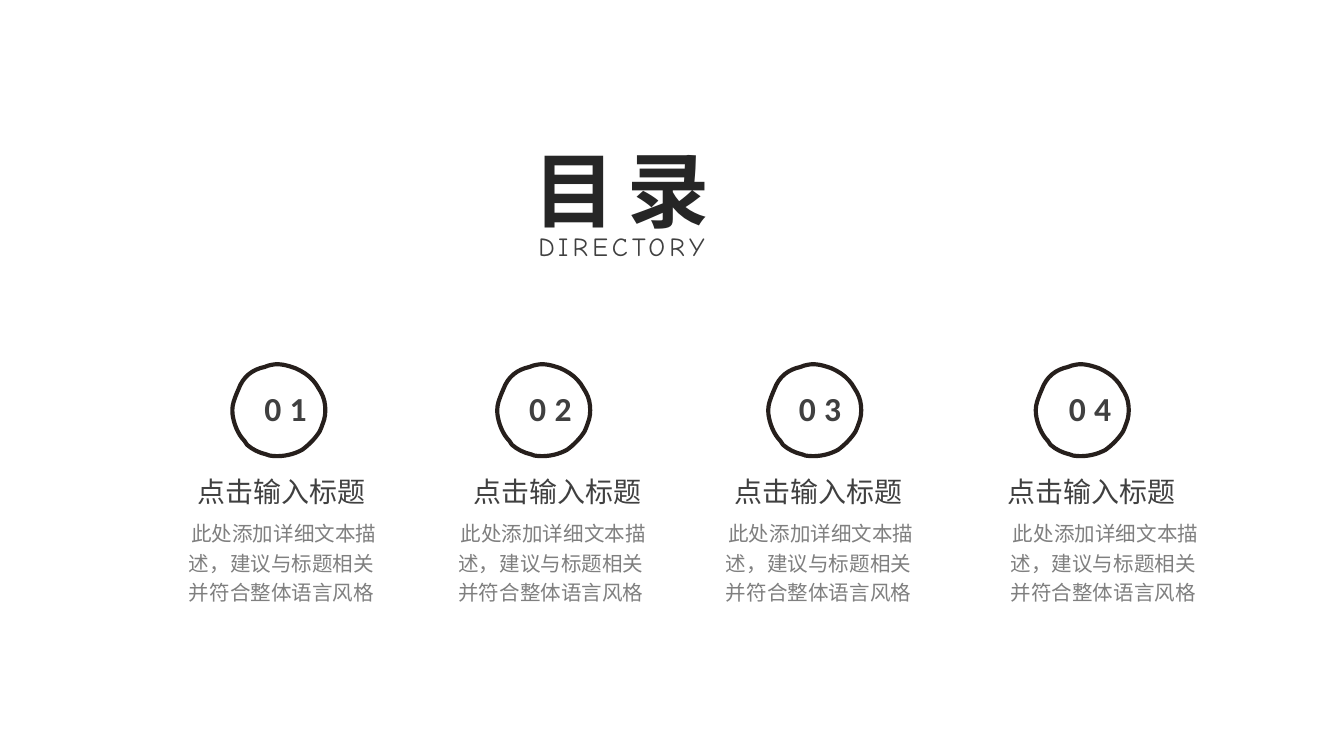
from pptx import Presentation
from pptx import util as u
from pptx.dml.color import RGBColor
from pptx.enum import text
from pptx.oxml.ns import qn

Pt = u.Pt
CJK = "Noto Sans CJK SC"
HEADING = "点击输入标题"
DETAIL = " 此处添加详细文本描，建议与标题相关并符合整体语言风格".replace("描，", "描述，")

# Left edges per item: ring, number, heading, detail
ITEMS = [
    (124.5, 130.3, 54.4, 91.5),
    (266.4, 272.2, 202.3, 235.8),
    (411.6, 416.6, 342, 379.2),
    (554.9, 561.3, 488.2, 531.7),
]

# Hand-drawn ring, clockwise from its left side: two handles and an end per curve
RING_START = (0, 25.2)
RING_CURVES = [
    ((0, 23.8), (0.3, 22.3), (0.7, 20.9)),
    ((1.4, 18.7), (2.2, 16.6), (3.2, 14.4)),
    ((5.8, 7.2), (10.8, 3.6), (17.3, 2.2)),
    ((18.7, 1.6), (19.8, 1.3), (20.9, 1.1)),
    ((25.2, 0.1), (29.5, 1.4), (33.8, 2.9)),
    ((37.4, 4.5), (40.7, 6.5), (43.2, 9.4)),
    ((44.3, 10.6), (45.3, 12), (46.1, 13.5)),
    ((48.2, 16.6), (49.4, 19.5), (49.7, 23)),
    ((50, 26.3), (49.7, 29.6), (48.5, 32.4)),
    ((48.1, 33.9), (47.4, 35.3), (46.8, 36.7)),
    ((44.6, 40.3), (41, 44), (37.4, 46.6)),
    ((36.9, 46.9), (36.5, 47.1), (36, 47.3)),
    ((31, 49.7), (25.2, 50.5), (20, 49.7)),
    ((19.4, 49.5), (18.7, 49.2), (18, 49)),
    ((14.4, 48.2), (10.8, 46.5), (7.9, 43.9)),
    ((7.4, 43.2), (6.9, 42.4), (6.5, 41.8)),
    ((2.9, 38.2), (0.7, 32.4), (0.1, 27.4)),
    ((0, 26.7), (0, 26), RING_START),
]


def color(value):
    return RGBColor.from_string(value)


def format_text(shape, content, size, font, fill, bold=False, spacing=0,
                align=text.PP_ALIGN.CENTER, line_spacing=None, wrap=True):
    frame = shape.text_frame
    frame.text = content
    frame.word_wrap = wrap
    frame.auto_size = text.MSO_AUTO_SIZE.SHAPE_TO_FIT_TEXT
    frame.vertical_anchor = text.MSO_ANCHOR.TOP
    frame.margin_left = frame.margin_right = Pt(5.4)
    frame.margin_top = frame.margin_bottom = Pt(2.7)
    paragraph = frame.paragraphs[0]
    paragraph.alignment = align
    if line_spacing:
        paragraph.line_spacing = line_spacing
    run = paragraph.runs[0]
    run.font.size = Pt(size)
    run.font.name = font
    run.font.bold = bold
    run.font.color.rgb = color(fill)
    # East Asian font and letter spacing
    properties = run.font._element
    latin = properties.find(qn("a:latin"))
    latin.addnext(properties.makeelement(qn("a:ea"), {"typeface": CJK}))
    if spacing:
        properties.set("spc", str(round(spacing * 100)))


def add_label(slide, left, top, width, height, content, size, font, fill, **style):
    box = slide.shapes.add_textbox(Pt(left), Pt(top), Pt(width), Pt(height))
    format_text(box, content, size, font, fill, **style)


def curve_segments(shape):
    """Join each three straight segments of the outline into one Bezier curve."""
    path = shape._element.find(".//" + qn("a:path"))
    lines = path.findall(qn("a:lnTo"))
    for first in range(0, len(lines), 3):
        curve = path.makeelement(qn("a:cubicBezTo"), {})
        lines[first].addprevious(curve)
        for line in lines[first:first + 3]:
            curve.append(line[0])
            path.remove(line)


def add_ring(slide, left, top):
    def place(point):
        return Pt(left + point[0]), Pt(top + point[1])

    builder = slide.shapes.build_freeform(*place(RING_START))
    builder.add_line_segments(
        [place(point) for curve in RING_CURVES for point in curve], close=False)
    ring = builder.convert_to_shape()
    curve_segments(ring)
    path = ring._element.find(".//" + qn("a:path"))
    path.append(path.makeelement(qn("a:close"), {}))
    ring.shadow.inherit = False
    ring.fill.background()
    ring.line.color.rgb = color("261F1C")
    ring.line.width = Pt(2.25)


def add_title(slide):
    title = slide.shapes.title
    title.left, title.top, title.width, title.height = map(Pt, (275, 72, 116, 59))
    format_text(title, "目录", 44, "Calibri", "262626", bold=True, spacing=6)


def add_item(slide, number, ring, number_left, heading, detail):
    add_ring(slide, ring, 194.4)
    add_label(slide, number_left, 205.2, 45.4, 27.4, f"{number:02}", 18,
              "Calibri", "404040", bold=True, spacing=4.5)
    add_label(slide, heading, 251.7, 193, 23.8, HEADING, 15, CJK, "404040")
    add_label(slide, detail, 273.8, 118.8, 53.3, DETAIL, 11, CJK, "7F7F7F",
              line_spacing=1.2)


def main():
    presentation = Presentation()
    presentation.slide_width = Pt(720)
    presentation.slide_height = Pt(405)
    slide = presentation.slides.add_slide(presentation.slide_layouts[5])

    # Title and subtitle
    add_title(slide)
    add_label(slide, 283, 120.6, 113.8, 22.3, "DIRECTORY", 14, "Comic Neue", "404040",
              spacing=2.2, align=text.PP_ALIGN.LEFT, wrap=False)

    # Contents
    for number, lefts in enumerate(ITEMS, start=1):
        add_item(slide, number, *lefts)

    presentation.save("out.pptx")


if __name__ == "__main__":
    main()
